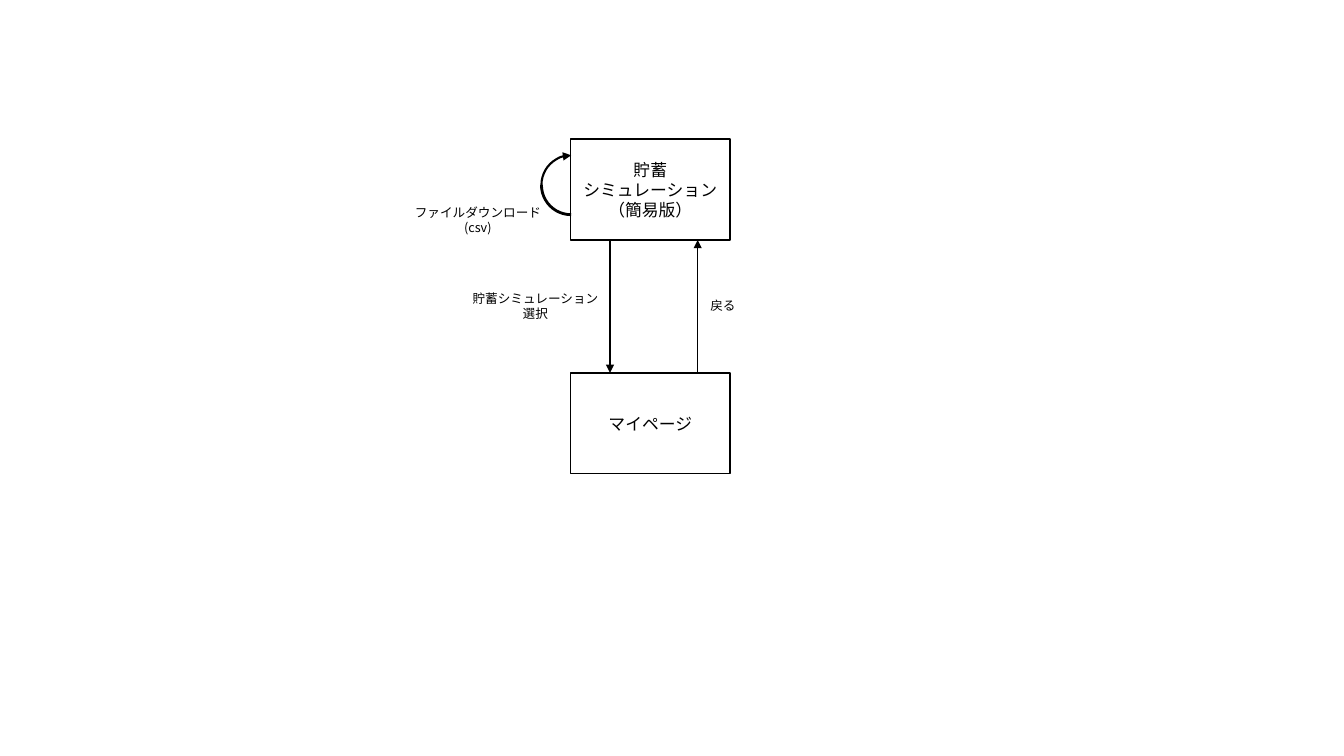
from lxml import etree
from pptx import Presentation
from pptx.dml.color import RGBColor
from pptx.enum.shapes import MSO_CONNECTOR, MSO_SHAPE
from pptx.enum.text import MSO_ANCHOR, PP_ALIGN
from pptx.oxml.ns import qn
from pptx.util import Inches, Pt

RECT, ARC = MSO_SHAPE.RECTANGLE, MSO_SHAPE.ARC
LINE = MSO_CONNECTOR.STRAIGHT
MIDDLE, TOP, CENTER = MSO_ANCHOR.MIDDLE, MSO_ANCHOR.TOP, PP_ALIGN.CENTER

# Content
FONT = "Noto Sans CJK JP"
COLORS = {"ink": "000000", "paper": "FFFFFF"}
SCREENS = [["貯蓄", "シミュレーション", "（簡易版）"], ["マイページ"]]
LABELS = [  # lines, left, top, width
    (["ファイルダウンロード", "(csv)"], 4.01, 1.98, 1.46),
    (["貯蓄シミュレーション", "選択"], 4.58, 2.84, 1.46),
    (["戻る"], 6.87, 2.91, 0.6),
]
ARCS = [(270, 1.5, True), (180, 2, False)]  # turn, weight, arrowhead

# Grid: one column of screens
LEFT, FIRST, WIDE, HIGH, STEP = 5.66, 1.38, 1.58, 1, 2.32
DOWN, UP = 6.05, 6.92
LOOP = (5.37, 1.54, 0.59, 0.59)
ROW, PAD = 0.15, 0.1  # label line height, inset sum

prs = Presentation()
prs.slide_width, prs.slide_height = Inches(13.33), Inches(7.5)
slide = prs.slides.add_slide(prs.slide_layouts[6])
shapes = slide.shapes


def color(name):
    return RGBColor.from_string(COLORS[name])


def ink(shape, weight, head=False):
    shape.line.color.rgb = color("ink")
    shape.line.width = Pt(weight)
    if head:
        tail = etree.SubElement(shape.line._get_or_add_ln(), qn("a:tailEnd"))
        tail.set("type", "triangle")


def write(shape, lines, size, anchor, wrap):
    frame = shape.text_frame
    frame.word_wrap, frame.vertical_anchor = wrap, anchor
    frame.text = "\n".join(lines)
    for para in frame.paragraphs:
        para.alignment = CENTER
        run = para.runs[0]
        for key, value in {"size": Pt(size), "name": FONT}.items():
            setattr(run.font, key, value)
        run.font.color.rgb = color("ink")
        east = etree.SubElement(run.font._element, qn("a:ea"))
        east.set("typeface", FONT)


# Screens
for i, lines in enumerate(SCREENS):
    box = shapes.add_shape(RECT, *map(Inches, (LEFT, FIRST + i * STEP, WIDE, HIGH)))
    box.shadow.inherit = False
    box.fill.solid()
    box.fill.fore_color.rgb = color("paper")
    ink(box, 1)
    write(box, lines, 12, MIDDLE, True)

# Arrows between the screens
upper, lower = FIRST + HIGH, FIRST + STEP
for x, start, end in [(UP, lower, upper), (DOWN, upper, lower)]:
    arrow = shapes.add_connector(LINE, *map(Inches, (x, start, x, end)))
    ink(arrow, 1, True)
    etree.SubElement(arrow._element.spPr, qn("a:effectLst"))

# Download loop: two quarter arcs
for turn, weight, head in ARCS:
    arc = shapes.add_shape(ARC, *map(Inches, LOOP))
    arc.rotation = turn
    arc.fill.background()
    ink(arc, weight, head)
    arc.shadow.inherit = False

# Labels
for lines, x, y, w in LABELS:
    high = PAD + ROW * len(lines)
    label = shapes.add_textbox(*map(Inches, (x, y, w, high)))
    write(label, lines, 9, TOP, False)

prs.save("out.pptx")
